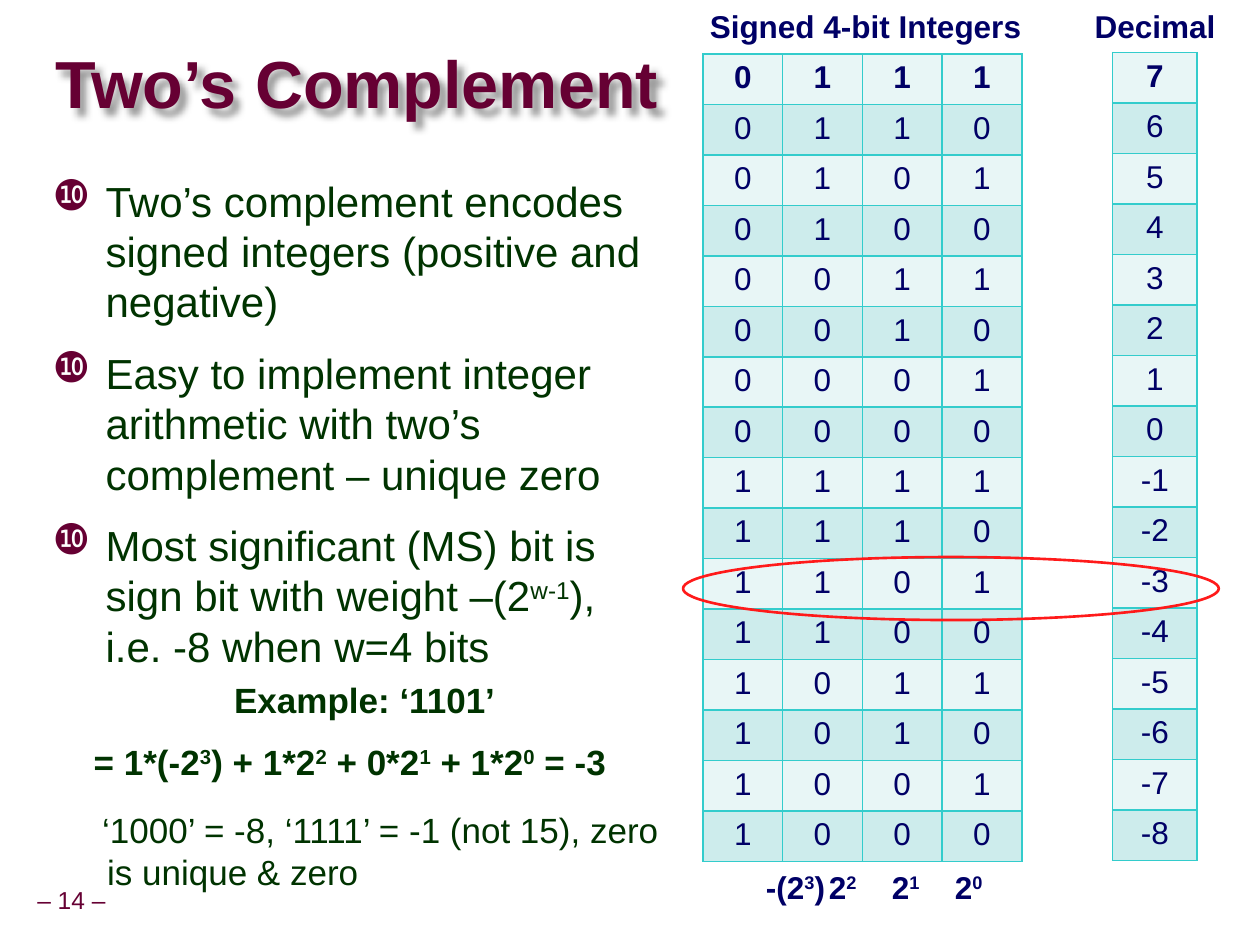
from lxml import etree
from pptx import Presentation
from pptx.dml.color import RGBColor
from pptx.enum.shapes import MSO_SHAPE
from pptx.enum.text import MSO_ANCHOR, PP_ALIGN
from pptx.oxml import parse_xml
from pptx.oxml.ns import nsdecls, qn
from pptx.util import Cm, Pt

MAROON = RGBColor(0x66, 0x00, 0x33)
GREEN = RGBColor(0x00, 0x33, 0x00)
NAVY = RGBColor(0x00, 0x00, 0x66)
TEAL = RGBColor(0x33, 0xCC, 0xCC)
RED = RGBColor(0xFF, 0x1A, 0x1A)
BANDS = (RGBColor(0xE8, 0xF6, 0xF6), RGBColor(0xCD, 0xEC, 0xEC))
CENTER = PP_ALIGN.CENTER

# Content: text between carets is superscript
TITLE = "Two’s Complement"
POINTS = [
    "Two’s complement encodes signed integers (positive and negative)",
    "Easy to implement integer arithmetic with two’s complement – unique zero",
    "Most significant (MS) bit is sign bit with weight –(2^w-1^), i.e. -8 when w=4 bits",
]
# text, bold, left margin, first-line indent, space before
EXAMPLE = [
    ("Example: ‘1101’", True, 3.63, 0, 0),
    ("= 1*(-2^3^) + 1*2^2^ + 0*2^1^ + 1*2^0^ = -3", True, 0.8, 0, 11.5),
    ("‘1000’ = -8, ‘1111’ = -1 (not 15), zero is unique & zero", False, 1.07, -0.1, 15),
]
WEIGHTS = ["-(2^3^)", "2^2^", "2^1^", "2^0^"]
VALUES = range(7, -9, -1)
BITS = [list(format(v % 16, "04b")) for v in VALUES]
DECIMALS = [[str(v)] for v in VALUES]

prs = Presentation()
prs.slide_width, prs.slide_height = Cm(25.4), Cm(19.05)
s = prs.slides.add_slide(prs.slide_layouts[6])


def write(p, text, size=18, color=NAVY, bold=False, align=None, line=None,
          before=0, margin=0, indent=0, bullet=None):
    p.alignment, p.line_spacing, p.space_before = align, line, Pt(before)
    pPr = p._p.get_or_add_pPr()
    pPr.set("marL", str(Cm(margin)))
    pPr.set("indent", str(Cm(indent)))
    if bullet:
        bu_clr = etree.SubElement(pPr, qn("a:buClr"))
        etree.SubElement(bu_clr, qn("a:srgbClr"), val=str(MAROON))
        etree.SubElement(pPr, qn("a:buChar"), char=bullet)
    for i, part in enumerate(text.split("^")):
        if part:
            r = p.add_run()
            r.text = part
            f = r.font
            f.name, f.size, f.bold, f.color.rgb = "Arial", Pt(size), bold, color
            if i % 2:
                r._r.get_or_add_rPr().set("baseline", "30000")


def text_box(x, y, w, h, inset=(0.25, 0.13), anchor=MSO_ANCHOR.TOP, wrap=True):
    sp = s.shapes.add_textbox(Cm(x), Cm(y), Cm(w), Cm(h))
    tf = sp.text_frame
    tf.word_wrap, tf.vertical_anchor = wrap, anchor
    tf.margin_left = tf.margin_right = Cm(inset[0])
    tf.margin_top = tf.margin_bottom = Cm(inset[1])
    return sp


def paragraphs(tf, count):
    return [tf.paragraphs[0]] + [tf.add_paragraph() for _ in range(count - 1)]


def add_grid(rows, x, y, w, h):
    n, m = len(rows), len(rows[0])
    table = s.shapes.add_table(n, m, Cm(x), Cm(y), Cm(w), Cm(h)).table
    for col in table.columns:
        col.width = int(Cm(w) / m)
    for i, values in enumerate(rows):
        table.rows[i].height = int(Cm(h) / n)
        for j, value in enumerate(values):
            cell = table.cell(i, j)
            cell.fill.solid()
            cell.fill.fore_color.rgb = BANDS[i % 2]
            write(cell.text_frame.paragraphs[0], value, bold=i == 0, align=CENTER)
            tcPr = cell._tc.get_or_add_tcPr()
            for k, side in enumerate(("lnL", "lnR", "lnT", "lnB")):
                tcPr.insert(k, parse_xml(
                    f'<a:{side} {nsdecls("a")} w="12700"><a:solidFill>'
                    f'<a:srgbClr val="{TEAL}"/></a:solidFill></a:{side}>'))


# Slide number
sp = text_box(0.6, 17.78, 1.68, 0.79, (0.13, 0.13), MSO_ANCHOR.MIDDLE, wrap=False)
write(sp.text_frame.paragraphs[0], "– 14 –", size=14, color=MAROON, align=CENTER, line=0.9)

# Title with a soft shadow
sp = text_box(1.12, 0.69, 24.2, 2.16, (0, 0), MSO_ANCHOR.MIDDLE)
write(sp.text_frame.paragraphs[0], TITLE, size=38, color=MAROON, bold=True, line=0.87)
sp._element.spPr.append(parse_xml(
    f'<a:effectLst {nsdecls("a")}><a:outerShdw blurRad="50800" dist="63500" dir="2700000">'
    '<a:srgbClr val="000000"><a:alpha val="40000"/></a:srgbClr></a:outerShdw></a:effectLst>'))

# Bullet points
sp = text_box(0.81, 3.4, 12.75, 10.57)
for i, (p, text) in enumerate(zip(paragraphs(sp.text_frame, len(POINTS)), POINTS)):
    write(p, text, size=24, color=GREEN, line=1.0, before=12 if i else 0,
          margin=1.07, indent=-1.07, bullet="❿")

# Worked example
sp = text_box(0.84, 13.54, 12.75, 4.65)
for p, (text, bold, margin, indent, before) in zip(paragraphs(sp.text_frame, len(EXAMPLE)), EXAMPLE):
    write(p, text, size=20, color=GREEN, bold=bold, line=1.0, before=before,
          margin=margin, indent=indent)

# Tables
GRID_X, GRID_W = 14.17, 6.43
add_grid(BITS, GRID_X, 1.09, GRID_W, 16.25)
add_grid(DECIMALS, 22.43, 1.06, 1.7, 16.3)

# Table headings
for text, x, w in (("Signed 4-bit Integers", 12.27, 10.36), ("Decimal", 21.8, 2.97)):
    sp = text_box(x, 0.1, w, 0.97, wrap=False)
    write(sp.text_frame.paragraphs[0], text, bold=True, align=CENTER, line=0.9)

# Bit weights, on tab stops at the column centres
p = text_box(GRID_X, 17.45, GRID_W, 0.97, (0, 0.13)).text_frame.paragraphs[0]
write(p, "".join("\t" + weight for weight in WEIGHTS), bold=True, line=0.9)
tabs = etree.SubElement(p._p.get_or_add_pPr(), qn("a:tabLst"))
for i in range(len(WEIGHTS)):
    pos = Cm(GRID_W * (i + 0.5) / len(WEIGHTS))
    etree.SubElement(tabs, qn("a:tab"), pos=str(pos), algn="ctr")

# Ellipse around the example row
sp = s.shapes.add_shape(MSO_SHAPE.OVAL, Cm(13.77), Cm(11.23), Cm(10.8), Cm(1.27))
sp.shadow.inherit = False
sp.fill.background()
sp.line.color.rgb, sp.line.width = RED, Pt(1.5)

prs.save("out.pptx")
